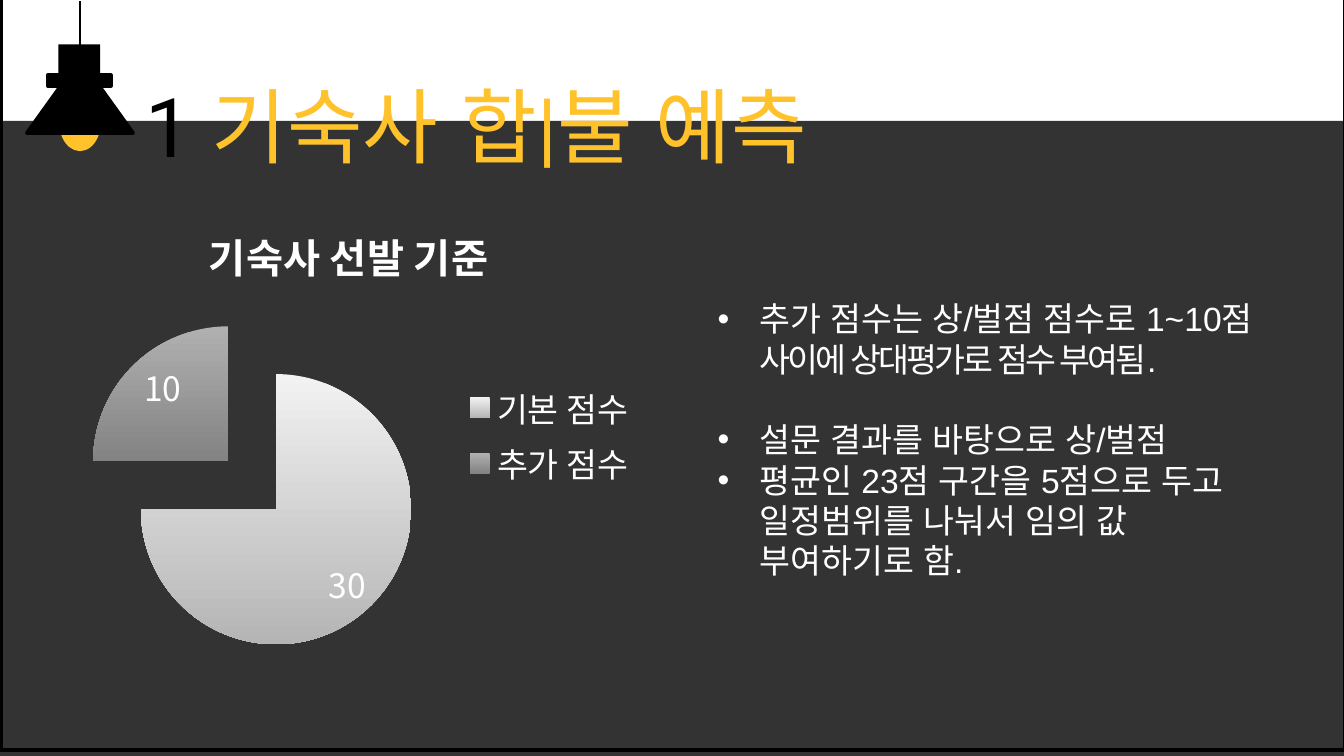
from dataclasses import dataclass

from lxml.etree import SubElement as Sub
from pptx import Presentation
from pptx.chart.data import CategoryChartData as Data
from pptx.dml.color import RGBColor as RGB
from pptx.enum.chart import XL_CHART_TYPE as Kind
from pptx.enum.chart import XL_LABEL_POSITION as Spot
from pptx.enum.chart import XL_LEGEND_POSITION as Side
from pptx.enum.shapes import MSO_CONNECTOR as Line
from pptx.enum.shapes import MSO_SHAPE as Form
from pptx.enum.text import MSO_ANCHOR as Anchor
from pptx.enum.text import MSO_AUTO_SIZE as Fit
from pptx.enum.text import PP_ALIGN as Align
from pptx.oxml import parse_xml
from pptx.oxml.ns import nsdecls, qn
from pptx.util import Inches, Pt


@dataclass(frozen=True)
class Theme:
    black: str = "000000"
    white: str = "FFFFFF"
    gold: str = "FFC22B"
    slices: tuple = (("F2F2F2", "B5B5B5"), ("B0B0B0", "838383"))
    head: str = "Roboto"
    body: str = "Arial"
    hangul: str = "Noto Sans CJK KR"
    big: float = 44
    mid: float = 21.6
    small: float = 18


T = Theme()


def style(font, color, size, name, bold=False):
    font.size, font.name, font.bold = Pt(size), name, bold
    font.color.rgb = RGB.from_string(color)


def add_run(par, text, color, size, name, east=T.body, bold=False):
    run = par.add_run()
    run.text = text
    style(run.font, color, size, name, bold)
    Sub(run.font._element, qn("a:ea")).set("typeface", east)
    return run


def place(shape, box):
    shape.left, shape.top, shape.width, shape.height = map(Inches, box)


def draw(shapes, form, box, fill=None, line=None):
    shape = shapes.add_shape(form, *map(Inches, box))
    shape.shadow.inherit = False
    if fill:
        shape.fill.solid()
        shape.fill.fore_color.rgb = RGB.from_string(fill)
    else:
        shape.fill.background()
    if line:
        shape.line.color.rgb = RGB.from_string(line)
        shape.line.width = Pt(2)
    else:
        shape.line.fill.background()
    return shape


def add_floor(slide, box):
    """Dark see-through band under the white strip."""
    floor = draw(slide.shapes, Form.RECTANGLE, box, T.black)
    tint = floor.fill._xPr.find(".//" + qn("a:srgbClr"))
    Sub(tint, qn("a:alpha")).set("val", "80000")


def add_lamp(slide, box):
    x, y, w, h = box
    parts = slide.shapes.add_group_shape().shapes
    mid = x + w / 2
    draw(parts, Form.OVAL, (mid - 0.14, y + h - 0.39, 0.28, 0.39), T.gold, T.gold)
    cord = parts.add_connector(
        Line.STRAIGHT, *map(Inches, (mid, y, mid, y + 0.39)))
    cord.line.color.rgb = RGB.from_string(T.black)
    cord.line.width = Pt(1.5)
    Sub(cord._element.spPr, qn("a:effectLst"))
    draw(parts, Form.RECTANGLE, (mid - 0.16, y + 0.32, 0.31, 0.31), T.black)
    draw(parts, Form.RECTANGLE, (mid - 0.24, y + 0.55, 0.47, 0.08), T.black, T.black)
    draw(parts, Form.ISOSCELES_TRIANGLE, (x, y + 0.43, w, 0.55), T.black, T.black)


def add_title(slide, box):
    title = slide.shapes.title
    place(title, box)
    slide.shapes._spTree.append(title._element)
    frame = title.text_frame
    frame.word_wrap, frame.auto_size = False, Fit.NONE
    frame.vertical_anchor = Anchor.MIDDLE
    par = frame.paragraphs[0]
    par.alignment = Align.LEFT
    add_run(par, "1 ", T.black, T.big, T.head)
    add_run(par, "기숙사 합|불 예측", T.gold, T.big, T.head)


def make_layout(inner):
    """Manual chart layout holding the given elements."""
    return parse_xml(f'<c:layout {nsdecls("c")}><c:manualLayout>{inner}'
                     '</c:manualLayout></c:layout>')


def add_pie(slide, box):
    name = "기숙사 선발 기준"
    data = Data()
    data.categories = ["기본 점수", "추가 점수"]
    data.add_series(name, (75, 25))
    chart = slide.shapes.add_chart(Kind.PIE, *map(Inches, box), data).chart
    style(chart.font, T.white, T.small, T.hangul)

    chart.has_title = True
    chart.chart_title.include_in_layout = False
    par = chart.chart_title.text_frame.paragraphs[0]
    add_run(par, name, T.white, T.mid, T.hangul, T.hangul, True)

    chart.has_legend = True
    chart.legend.position = Side.RIGHT
    chart.legend.include_in_layout = False
    style(chart.legend.font, T.white, T.small, T.hangul)

    plot = chart.plots[0]
    plot.vary_by_categories = True
    series = plot.series[0]
    labels = (("30", 0, 0.02), ("10", 0.01, -0.02))
    for i, (tones, (text, dx, dy)) in enumerate(zip(T.slices, labels)):
        point = series.points[i]
        fill = point.format.fill
        fill.gradient()
        fill.gradient_angle = 270
        for stop, tone in zip(fill.gradient_stops, tones):
            stop.color.rgb = RGB.from_string(tone)
        point.format.line.fill.background()
        label = point.data_label
        par = label.text_frame.paragraphs[0]
        add_run(par, text, T.white, T.small, T.hangul, T.hangul)
        label.position = Spot.INSIDE_END
        index = series._element.findall(".//" + qn("c:dLbl"))[i].find(qn("c:idx"))
        index.addnext(make_layout(f'<c:x val="{dx}"/><c:y val="{dy}"/>'))

    burst = parse_xml(f'<c:explosion {nsdecls("c")} val="25"/>')
    series._element.find(qn("c:dPt")).addprevious(burst)
    area = chart._chartSpace.find(".//" + qn("c:plotArea"))
    for old in area.findall(qn("c:layout")):
        area.remove(old)
    area.insert(0, make_layout(
        '<c:layoutTarget val="inner"/><c:xMode val="edge"/><c:yMode val="edge"/>'
        '<c:x val="0.06"/><c:y val="0.25"/><c:w val="0.56"/><c:h val="0.71"/>'))


def add_notes(slide, box):
    """Bulleted list; each run is a text and its letter spacing."""
    items = (
        (0, (("추가 점수는 상/벌점 점수로 1~10", 0),
             ("점 사이에 상대평가로 점수 부여됨.", -150))),
        (21.5, (("설문 결과를 바탕으로 상/벌점", 0),)),
        (0, (("평균인 23점 구간을 5점으로 두고 일정범위를 나눠서 "
              "임의 값 부여하기로 함.", 0),)),
    )
    body = slide.placeholders[1]
    place(body, box)
    slide.shapes._spTree.append(body._element)
    frame = body.text_frame
    frame.word_wrap, frame.auto_size = True, Fit.NONE
    frame.vertical_anchor = Anchor.TOP
    for i, (gap, runs) in enumerate(items):
        par = frame.add_paragraph() if i else frame.paragraphs[0]
        par.space_before, par.space_after = Pt(gap), Pt(0)
        props = par._p.get_or_add_pPr()
        props.set("marL", str(Inches(0.31)))
        props.set("indent", str(-Inches(0.31)))
        Sub(props, qn("a:buFont")).set("typeface", T.body)
        Sub(props, qn("a:buChar")).set("char", "•")
        for text, space in runs:
            run = add_run(par, text, T.white, T.small, T.body)
            run.font._element.set("spc", str(space))


def main():
    deck = Presentation()
    deck.slide_width = Inches(10)
    deck.slide_height = deck.slide_width * 9 // 16
    slide = deck.slides.add_slide(deck.slide_layouts[1])
    add_floor(slide, (0, 0.9, 10, 4.73))
    add_lamp(slide, (0.2, 0.01, 0.79, 1.1))
    draw(slide.shapes, Form.RECTANGLE, (0.01, -0.04, 10, 5.62), line=T.black)
    add_title(slide, (0.98, 0.51, 5.58, 0.84))
    add_pie(slide, (0.35, 1.47, 4.49, 3.54))
    add_notes(slide, (5.24, 2.17, 4.41, 2.22))
    deck.save("out.pptx")


if __name__ == "__main__":
    main()
